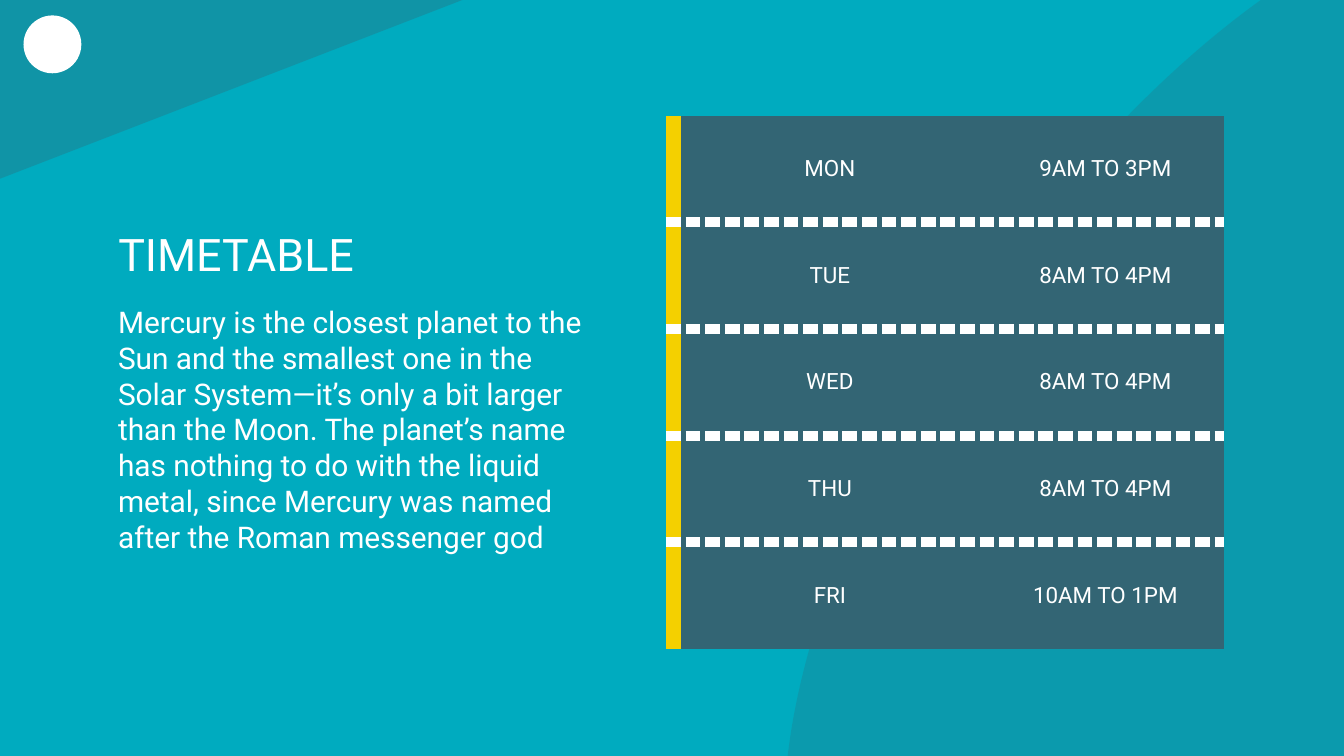
"""Build the weekly timetable slide."""
from dataclasses import dataclass
from typing import Optional

from pptx import Presentation
from pptx.dml.color import RGBColor
from pptx.enum.shapes import MSO_SHAPE
from pptx.enum.text import MSO_ANCHOR, MSO_AUTO_SIZE, PP_ALIGN
from pptx.oxml.ns import qn
from pptx.util import Inches, Pt
from lxml.etree import SubElement


@dataclass(frozen=True)
class Theme:
    font: str = "Roboto"
    back: str = "00ABBF"
    slate: str = "336574"
    gold: str = "F4D000"
    white: str = "FFFFFF"
    title: int = 24
    body: int = 16
    cell: int = 12


@dataclass(frozen=True)
class Box:
    left: float
    top: float
    width: float
    height: float

    def lengths(self) -> tuple:
        return tuple(map(Inches, (self.left, self.top, self.width, self.height)))


@dataclass(frozen=True)
class Decor:
    kind: MSO_SHAPE
    box: Box
    color: str
    alpha: int = 100
    turn: float = 0
    flip: bool = False
    edge: float = 0


@dataclass(frozen=True)
class Edge:
    color: str
    width: float
    dash: str = "solid"


@dataclass(frozen=True)
class Day:
    name: str
    hours: str


THEME = Theme()
GOLD = Edge(THEME.gold, 9)
DASH = Edge(THEME.white, 6, "dash")
WEDGE = Decor(MSO_SHAPE.RIGHT_TRIANGLE, Box(0, 0, 3.44, 1.33), THEME.slate, 32, 180, True)
PLANET = Decor(MSO_SHAPE.OVAL, Box(4.29, 1.27, 9.54, 4.27), THEME.slate, 23, 304.5)
BADGE = Decor(MSO_SHAPE.OVAL, Box(0.18, 0.12, 0.42, 0.42), THEME.white, edge=0.75)
DAYS = [
    Day("MON", "9AM TO 3PM"),
    Day("TUE", "8AM TO 4PM"),
    Day("WED", "8AM TO 4PM"),
    Day("THU", "8AM TO 4PM"),
    Day("FRI", "10AM TO 1PM"),
]
COLS = (2.33, 1.77)
ROW = 3.97 / len(DAYS)
BODY = (
    "Mercury is the closest planet to the Sun and the smallest one in the "
    "Solar System—it’s only a bit larger than the Moon. The planet’s name has "
    "nothing to do with the liquid metal, since Mercury was named after the "
    "Roman messenger god"
)


def paint(fill, color: str) -> None:
    fill.solid()
    fill.fore_color.rgb = RGBColor.from_string(color)


def draw(slide, decor: Decor) -> None:
    shape = slide.shapes.add_shape(decor.kind, *decor.box.lengths())
    shape.shadow.inherit = False
    shape.rotation = decor.turn
    if decor.flip:
        shape._element.spPr.xfrm.set("flipH", "1")
    paint(shape.fill, decor.color)
    if decor.alpha < 100:
        color = shape._element.spPr.find(qn("a:solidFill"))[0]
        SubElement(color, qn("a:alpha"), val=str(decor.alpha * 1000))
    if decor.edge:
        paint(shape.line.fill, decor.color)
        shape.line.width = Pt(decor.edge)
    else:
        shape.line.fill.background()


def write(frame, text: str, size: int, align: PP_ALIGN) -> None:
    frame.text = text
    para = frame.paragraphs[0]
    para.alignment = align
    font = para.runs[0].font
    font.name, font.size = THEME.font, Pt(size)
    font.color.rgb = RGBColor.from_string(THEME.white)


def place(shape, box: Box, text: str, size: int, anchor: MSO_ANCHOR) -> None:
    shape.left, shape.top, shape.width, shape.height = box.lengths()
    frame = shape.text_frame
    frame.word_wrap = True
    frame.auto_size = MSO_AUTO_SIZE.NONE
    frame.vertical_anchor = anchor
    frame.margin_left = frame.margin_right = Inches(0.1)
    frame.margin_top = frame.margin_bottom = Inches(0.1)
    write(frame, text, size, PP_ALIGN.LEFT)


def rule(cell, side: str, edge: Optional[Edge]) -> None:
    line = SubElement(cell._tc.get_or_add_tcPr(), qn(f"a:ln{side}"))
    if edge is None:
        SubElement(line, qn("a:noFill"))
        return
    line.set("w", str(Pt(edge.width)))
    fill = SubElement(line, qn("a:solidFill"))
    SubElement(fill, qn("a:srgbClr"), val=edge.color)
    SubElement(line, qn("a:prstDash"), val=edge.dash)


def chart_week(slide, days: list[Day]) -> None:
    box = Box(5.01, 0.86, sum(COLS), ROW * len(days))
    table = slide.shapes.add_table(len(days), len(COLS), *box.lengths()).table
    table.first_row = table.horz_banding = False
    for col, width in zip(table.columns, COLS):
        col.width = Inches(width)
    for i, day in enumerate(days):
        table.rows[i].height = Inches(ROW)
        for j, text in enumerate((day.name, day.hours)):
            cell = table.cell(i, j)
            rule(cell, "L", None if j else GOLD)
            rule(cell, "R", None)
            rule(cell, "T", DASH if i else None)
            rule(cell, "B", DASH if i < len(days) - 1 else None)
            paint(cell.fill, THEME.slate)
            cell.vertical_anchor = MSO_ANCHOR.MIDDLE
            cell.margin_left = cell.margin_right = Inches(0.1 if j else 0.07)
            cell.margin_top = cell.margin_bottom = Inches(0.1 if j else 0.06)
            write(cell.text_frame, text, THEME.cell, PP_ALIGN.CENTER)


def main() -> None:
    deck = Presentation()
    deck.slide_width = Inches(10)
    deck.slide_height = deck.slide_width * 9 // 16
    slide = deck.slides.add_slide(deck.slide_layouts[5])
    paint(slide.background.fill, THEME.back)
    draw(slide, WEDGE)
    draw(slide, PLANET)
    chart_week(slide, DAYS)
    draw(slide, BADGE)
    title = slide.shapes.title
    slide.shapes._spTree.append(title._element)
    place(title, Box(0.78, 1.57, 4.22, 0.63), "TIMETABLE", THEME.title, MSO_ANCHOR.MIDDLE)
    box = Box(0.78, 2.16, 3.82, 2.13)
    note = slide.shapes.add_textbox(*box.lengths())
    place(note, box, BODY, THEME.body, MSO_ANCHOR.TOP)
    deck.save("out.pptx")


if __name__ == "__main__":
    main()
